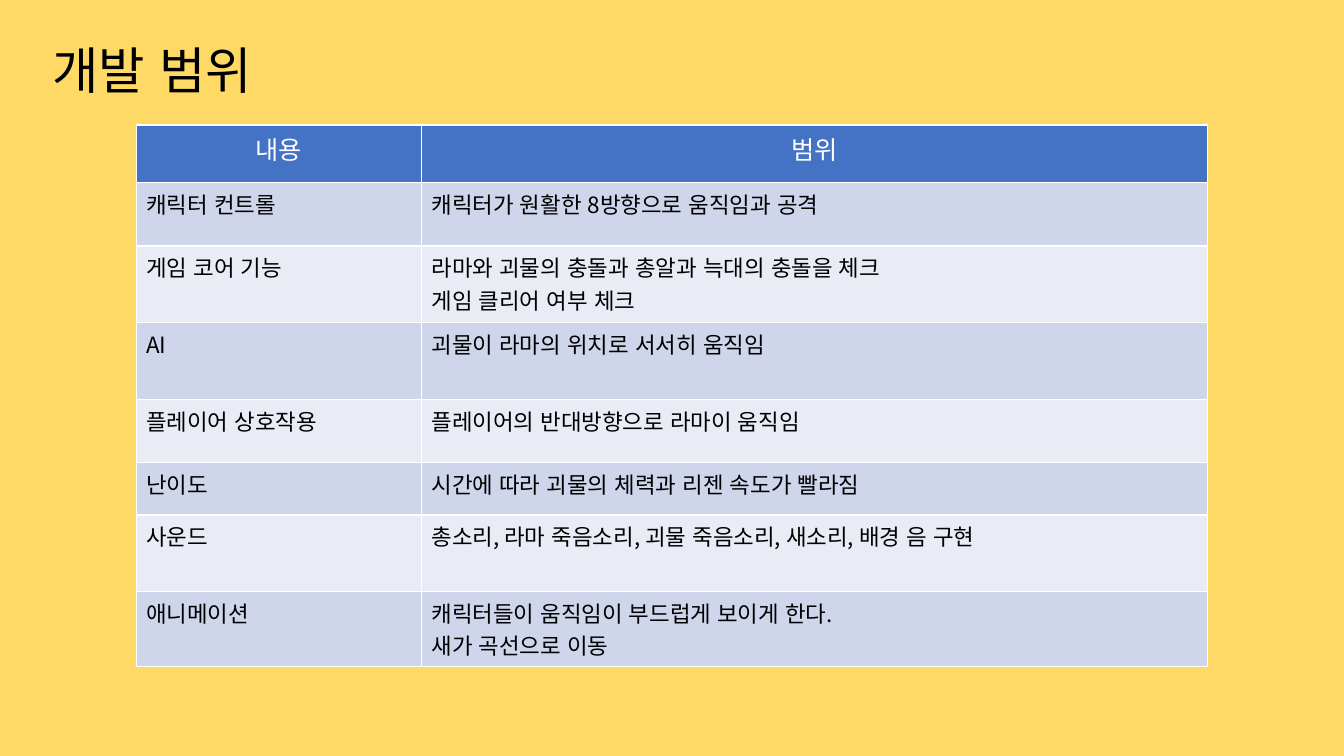
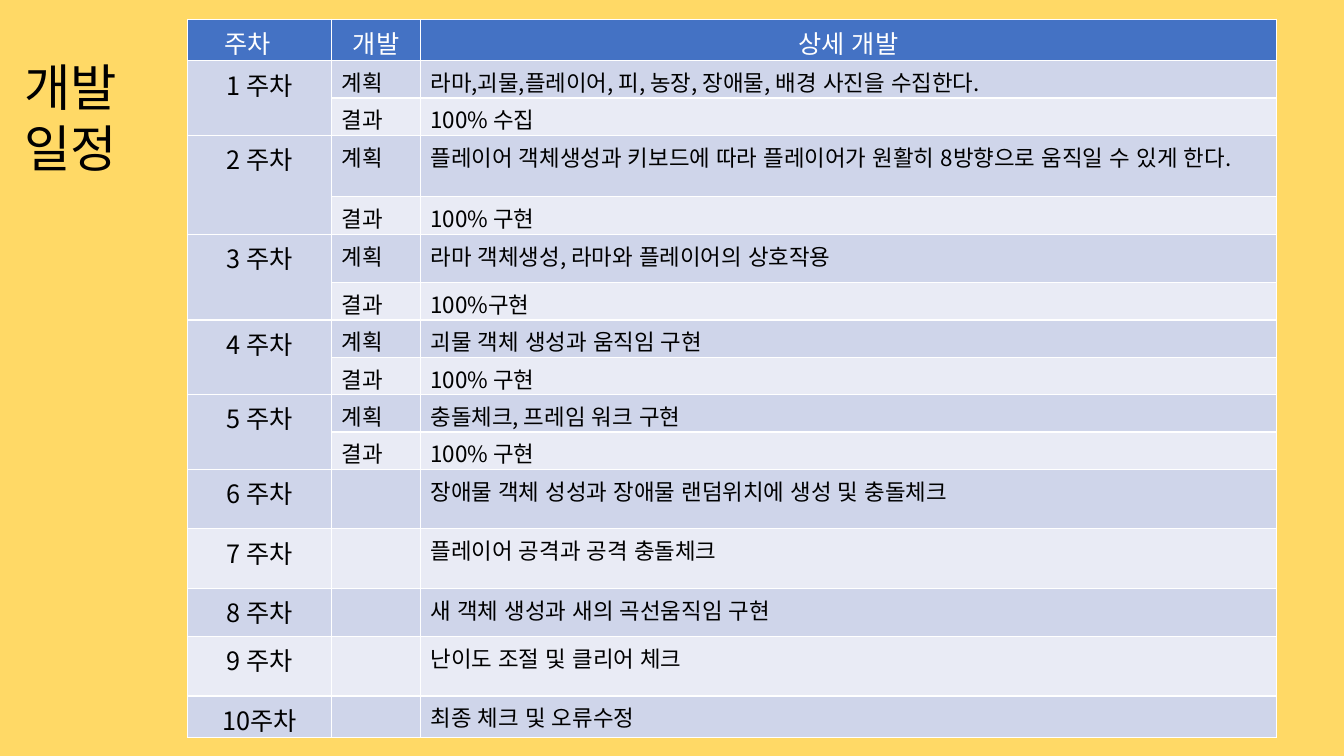
from dataclasses import dataclass

from lxml import etree
from pptx import Presentation
from pptx.dml.color import RGBColor
from pptx.enum.lang import MSO_LANGUAGE_ID
from pptx.enum.text import MSO_ANCHOR, MSO_AUTO_SIZE, PP_ALIGN
from pptx.oxml.ns import qn
from pptx.util import Inches, Pt

# Shared look
FONT = "Noto Sans CJK KR"
BACKGROUND = RGBColor(0xFF, 0xD9, 0x66)
HEADER_BLUE = RGBColor(0x44, 0x72, 0xC4)
BAND_DARK = RGBColor(0xCF, 0xD5, 0xEA)
BAND_LIGHT = RGBColor(0xE9, 0xEB, 0xF5)
WHITE = RGBColor(0xFF, 0xFF, 0xFF)
BLACK = RGBColor(0x00, 0x00, 0x00)
LEFT, CENTER = PP_ALIGN.LEFT, PP_ALIGN.CENTER
TOP = MSO_ANCHOR.TOP
NO_AUTOFIT = MSO_AUTO_SIZE.NONE
KOREAN = MSO_LANGUAGE_ID.KOREAN
TITLE_ONLY = 5
TITLE_SIZE, LABEL_SIZE, BODY_SIZE = 36, 18, 16
BORDER_TAGS = ("a:lnL", "a:lnR", "a:lnT", "a:lnB")


@dataclass(frozen=True)
class Box:
    left: float
    top: float
    width: float
    height: float


@dataclass(frozen=True)
class TextStyle:
    size: int
    color: RGBColor = BLACK
    align: PP_ALIGN = LEFT


@dataclass(frozen=True)
class Week:
    label: str
    plan: str
    height: float
    result: str = ""


TITLE_STYLE = TextStyle(TITLE_SIZE)
HEADER_STYLE = TextStyle(LABEL_SIZE, WHITE, CENTER)
LABEL_STYLE = TextStyle(LABEL_SIZE, BLACK, CENTER)
BODY_STYLE = TextStyle(BODY_SIZE)

SCOPE_HEADER = ["내용", "범위"]
SCOPE_ROWS = [
    ["캐릭터 컨트롤", "캐릭터가 원활한 8방향으로 움직임과 공격"],
    ["게임 코어 기능", "라마와 괴물의 충돌과 총알과 늑대의 충돌을 체크\n게임 클리어 여부 체크"],
    ["AI", "괴물이 라마의 위치로 서서히 움직임"],
    ["플레이어 상호작용", "플레이어의 반대방향으로 라마이 움직임"],
    ["난이도", "시간에 따라 괴물의 체력과 리젠 속도가 빨라짐"],
    ["사운드", "총소리, 라마 죽음소리, 괴물 죽음소리, 새소리, 배경 음 구현"],
    ["애니메이션", "캐릭터들이 움직임이 부드럽게 보이게 한다.\n새가 곡선으로 이동"],
]
SCOPE_HEIGHTS = [0.57, 0.63, 0.76, 0.76, 0.63, 0.52, 0.76, 0.57]

SCHEDULE_HEADER = ["주차", "개발", "상세 개발"]
HEADER_HEIGHT, RESULT_HEIGHT = 0.38, 0.35
WEEKS = [
    Week("1 주차", "라마,괴물,플레이어, 피, 농장, 장애물, 배경 사진을 수집한다.", 0.35, "100% 수집"),
    Week("2 주차", "플레이어 객체생성과 키보드에 따라 플레이어가 원활히 8방향으로 움직일 수 있게 한다.",
         0.61, "100% 구현"),
    Week("3 주차", "라마 객체생성, 라마와 플레이어의 상호작용", 0.48, "100%구현"),
    Week("4 주차", "괴물 객체 생성과 움직임 구현", 0.35, "100% 구현"),
    Week("5 주차", "충돌체크, 프레임 워크 구현", 0.35, "100% 구현"),
    Week("6 주차", "장애물 객체 성성과 장애물 랜덤위치에 생성 및 충돌체크", 0.59),
    Week("7 주차", "플레이어 공격과 공격 충돌체크", 0.59),
    Week("8 주차", "새 객체 생성과 새의 곡선움직임 구현", 0.48),
    Week("9 주차", "난이도 조절 및 클리어 체크", 0.59),
    Week("10주차", "최종 체크 및 오류수정", 0.38),
]


def write(frame, text: str, style: TextStyle) -> None:
    """Write each line of the text as a paragraph with one run."""
    for index, line in enumerate(text.split("\n")):
        paragraph = frame.add_paragraph() if index else frame.paragraphs[0]
        paragraph.alignment = style.align
        paragraph.line_spacing = 1.0
        paragraph.space_before = Pt(0)
        run = paragraph.add_run()
        run.text = line
        run.font.size = Pt(style.size)
        run.font.name = FONT
        run.font.language_id = KOREAN
        run.font.color.rgb = style.color
        run.font._element.set("kern", "0")
        etree.SubElement(run.font._element, qn("a:ea"), typeface=FONT)


def add_titled_slide(prs, title: str, box: Box):
    slide = prs.slides.add_slide(prs.slide_layouts[TITLE_ONLY])
    slide.background.fill.solid()
    slide.background.fill.fore_color.rgb = BACKGROUND
    heading = slide.shapes.title
    heading.left, heading.top = Inches(box.left), Inches(box.top)
    heading.width, heading.height = Inches(box.width), Inches(box.height)
    frame = heading.text_frame
    frame.word_wrap = True
    frame.auto_size = NO_AUTOFIT
    frame.vertical_anchor = TOP
    write(frame, title, TITLE_STYLE)
    return slide


def set_borders(cell) -> None:
    properties = cell._tc.get_or_add_tcPr()
    for position, tag in enumerate(BORDER_TAGS):
        line = etree.Element(qn(tag), w=str(Pt(1)))
        fill = etree.SubElement(line, qn("a:solidFill"))
        etree.SubElement(fill, qn("a:srgbClr"), val=str(WHITE))
        properties.insert(position, line)


def fill_cell(cell, text: str, style: TextStyle, fill: RGBColor) -> None:
    cell.fill.solid()
    cell.fill.fore_color.rgb = fill
    set_borders(cell)
    if text:
        write(cell.text_frame, text, style)


def add_grid(slide, box: Box, widths: list[float], heights: list[float], header: list[str]):
    """Add a table with its column widths, row heights and header row."""
    table = slide.shapes.add_table(
        len(heights), len(widths), Inches(box.left), Inches(box.top),
        Inches(box.width), Inches(box.height)).table
    for column, width in zip(table.columns, widths):
        column.width = Inches(width)
    for row, height in zip(table.rows, heights):
        row.height = Inches(height)
    for cell, text in zip(table.rows[0].cells, header):
        fill_cell(cell, text, HEADER_STYLE, HEADER_BLUE)
    return table


def band(row: int) -> RGBColor:
    return BAND_DARK if row % 2 else BAND_LIGHT


def build_scope(prs) -> None:
    slide = add_titled_slide(prs, "개발 범위", Box(0.42, 0.34, 2.52, 0.71))
    table = add_grid(slide, Box(1.35, 1.24, 10.63, 5.26), [2.83, 7.8], SCOPE_HEIGHTS, SCOPE_HEADER)
    for row, texts in enumerate(SCOPE_ROWS, start=1):
        for column, text in enumerate(texts):
            fill_cell(table.cell(row, column), text, BODY_STYLE, band(row))


def build_schedule(prs) -> None:
    slide = add_titled_slide(prs, "개발\n일정", Box(0.14, 0.51, 1.28, 1.31))
    heights = [HEADER_HEIGHT]
    for week in WEEKS:
        heights += [week.height, RESULT_HEIGHT] if week.result else [week.height]
    table = add_grid(slide, Box(1.86, 0.19, 10.8, 7.11), [1.43, 0.88, 8.49], heights, SCHEDULE_HEADER)

    # Tight rows: no space below the text
    for cell in table.iter_cells():
        cell.margin_bottom = 0

    # The first heading sits left of centre
    week_heading = table.cell(0, 0)
    week_heading.text_frame.paragraphs[0].alignment = LEFT
    week_heading.margin_left = Inches(0.37)

    # A finished week takes a plan row and a result row under one label
    row = 1
    for week in WEEKS:
        entries = [("계획", week.plan), ("결과", week.result)] if week.result else [("", week.plan)]
        for offset, (stage, detail) in enumerate(entries):
            fill = band(row + offset)
            label = "" if offset else week.label
            fill_cell(table.cell(row + offset, 0), label, LABEL_STYLE, fill)
            fill_cell(table.cell(row + offset, 1), stage, BODY_STYLE, fill)
            fill_cell(table.cell(row + offset, 2), detail, BODY_STYLE, fill)
        if week.result:
            table.cell(row, 0).merge(table.cell(row + 1, 0))
        row += len(entries)


def main() -> None:
    prs = Presentation()
    prs.slide_width, prs.slide_height = Inches(13.33), Inches(7.5)
    build_scope(prs)
    build_schedule(prs)
    prs.save("out.pptx")


if __name__ == "__main__":
    main()
